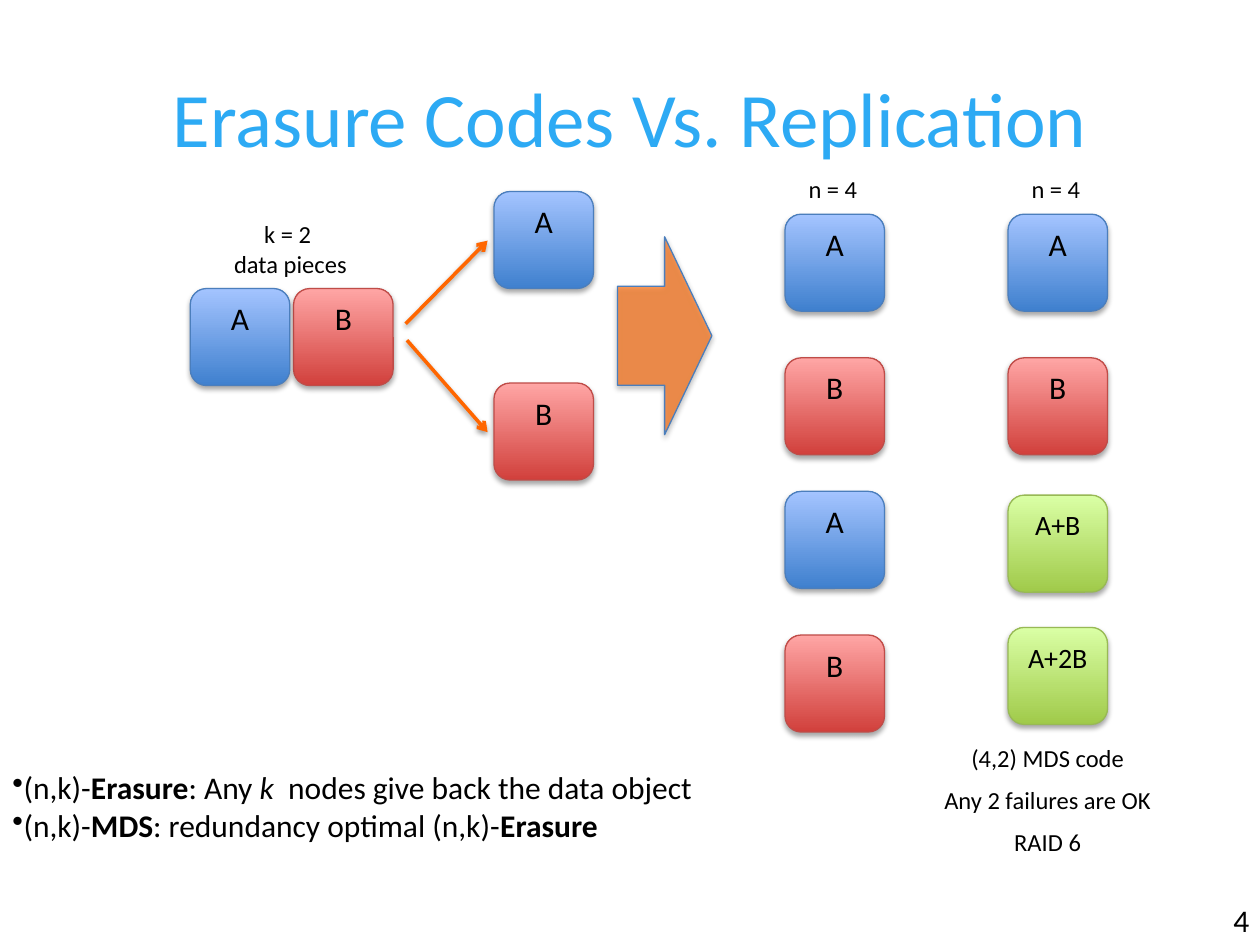
from lxml import etree
from pptx import Presentation
from pptx.dml.color import RGBColor
from pptx.enum import shapes, text
from pptx.oxml import ns
from pptx.util import Inches, Pt

FONT = "Calibri"
BOX_W, BOX_H = 0.79, 0.77
TITLE = "Erasure Codes Vs. Replication"

# gradient bottom, gradient top, outline
BLUE = ("3F80CE", "A4C4FF", "4B7EBC")
RED = ("D1403C", "FFA6A5", "BF4C48")
GREEN = ("A0CA4A", "DAFFA5", "98B955")
PIECES = {"A": (BLUE, 18), "B": (RED, 18), "A+B": (GREEN, 16), "A+2B": (GREEN, 16)}

DATA_PIECES = [("B", 2.33, 2.29), ("A", 1.51, 2.29), ("A", 3.92, 1.52), ("B", 3.92, 3.04)]
SPLIT_ARROWS = [((3.22, 2.57), (3.87, 1.91)), ((3.23, 2.7), (3.87, 3.43))]
# left edge, pieces with their tops
COLUMNS = [
    (8, [("A", 1.7), ("B", 2.84), ("A+B", 3.93), ("A+2B", 4.98)]),
    (6.23, [("A", 1.7), ("B", 2.84), ("A", 3.9), ("B", 5.04)]),
]
CODE_NOTES = ["(4,2) MDS code", "Any 2 failures are OK", "RAID 6"]
# runs as (text, style), where style is "", "b" or "i"
DEFINITIONS = [
    [("(n,k)-", ""), ("Erasure", "b"), (": Any ", ""), ("k", "i"),
     ("  nodes give back the data object", "")],
    [("(n,k)-", ""), ("MDS", "b"), (": redundancy optimal (n,k)-", ""), ("Erasure", "b")],
]


def rgb(color):
    return RGBColor.from_string(color)


def add_run(p, words, size, color="000000", style=""):
    r = p.add_run()
    r.text = words
    r.font.name, r.font.size = FONT, Pt(size)
    r.font.color.rgb = rgb(color)
    if style:
        r.font.bold, r.font.italic = style == "b", style == "i"


def add_text(parent, box, lines, size, align=text.PP_ALIGN.CENTER, gap=0, wrap=True):
    tb = parent.add_textbox(*map(Inches, box))
    tf = tb.text_frame
    tf.word_wrap = wrap
    for i, runs in enumerate(lines):
        p = tf.add_paragraph() if i else tf.paragraphs[0]
        p.alignment = align
        if i:
            p.space_before = Pt(gap)
        for words, style in [(runs, "")] if isinstance(runs, str) else runs:
            add_run(p, words, size, style=style)
    return tf


def sub(parent, tag, **attrs):
    return etree.SubElement(parent, ns.qn(tag), attrs)


def add_shadow(shape, alpha=35, dist=1.8):
    effects = sub(shape.element.spPr, "a:effectLst")
    shadow = sub(effects, "a:outerShdw", blurRad=str(Pt(3.1)), dist=str(Pt(dist)),
                 dir="5400000", rotWithShape="0")
    sub(sub(shadow, "a:srgbClr", val="000000"), "a:alpha", val=str(alpha * 1000))


def outline(shape, color, width):
    shape.line.color.rgb = rgb(color)
    shape.line.width = Pt(width)


def add_piece(parent, name, left, top):
    (bottom_color, top_color, edge), size = PIECES[name]
    sp = parent.add_shape(shapes.MSO_SHAPE.ROUNDED_RECTANGLE,
                          *map(Inches, (left, top, BOX_W, BOX_H)))
    sp.fill.gradient()
    sp.fill.gradient_angle = 90
    for stop, color in zip(sp.fill.gradient_stops, (bottom_color, top_color)):
        stop.color.rgb = rgb(color)
    outline(sp, edge, 0.75)
    add_shadow(sp)
    tf = sp.text_frame
    tf.margin_bottom = Inches(0.35)  # lifts the label above the middle
    tf.vertical_anchor = text.MSO_ANCHOR.MIDDLE
    p = tf.paragraphs[0]
    p.alignment = text.PP_ALIGN.CENTER
    add_run(p, name, size)


def add_split_arrow(parent, start, end):
    line = parent.add_connector(shapes.MSO_CONNECTOR.STRAIGHT, *map(Inches, start + end))
    outline(line, "FF6600", 2)
    sub(line.line._get_or_add_ln(), "a:tailEnd", type="arrow")
    add_shadow(line, 38, 1.6)


def add_block_arrow(parent):
    sp = parent.add_shape(shapes.MSO_SHAPE.RIGHT_ARROW, *map(Inches, (4.9, 1.88, 0.75, 1.57)))
    sp.fill.solid()
    sp.fill.fore_color.rgb = rgb("FF6600")
    sub(sp.element.spPr.find(".//" + ns.qn("a:srgbClr")), "a:alpha", val="63000")
    outline(sp, "4B7EBC", 0.75)
    add_shadow(sp)


def add_column(parent, left, pieces):
    group = parent.add_group_shape().shapes
    add_text(group, (left - 0.28, 1.33, 1.32, 0.34), ["n = 4"], 14)
    for name, top in pieces:
        add_piece(group, name, left, top)


def add_title(s):
    title = s.shapes.title
    title.left, title.top, title.width, title.height = map(Inches, (0.5, 0.3, 9, 1.25))
    p = title.text_frame.paragraphs[0]
    p.alignment = text.PP_ALIGN.CENTER
    add_run(p, TITLE, 44, "2DAAF4")


def main():
    prs = Presentation()
    prs.slide_width, prs.slide_height = Inches(10), Inches(7.5)
    s = prs.slides.add_slide(prs.slide_layouts[5])
    add_title(s)
    add_text(s.shapes, (7.25, 5.85, 2.13, 1.04), CODE_NOTES, 14, gap=7)
    add_text(s.shapes, (1.5, 1.69, 1.61, 0.57), ["k = 2 ", "data pieces"], 14)
    for piece in DATA_PIECES:
        add_piece(s.shapes, *piece)
    for start, end in SPLIT_ARROWS:
        add_split_arrow(s.shapes, start, end)
    add_block_arrow(s.shapes)
    for left, pieces in COLUMNS:
        add_column(s.shapes, left, pieces)
    tf = add_text(s.shapes, (0, 6.05, 5.64, 0.7), DEFINITIONS, 18,
                  text.PP_ALIGN.LEFT, wrap=False)
    for p in tf.paragraphs:
        sub(p._p.get_or_add_pPr(), "a:buChar", char="•")
    add_text(s.shapes, (9.69, 7.1, 0.54, 0.4), ["4"], 18, text.PP_ALIGN.LEFT)
    prs.save("out.pptx")


if __name__ == "__main__":
    main()
